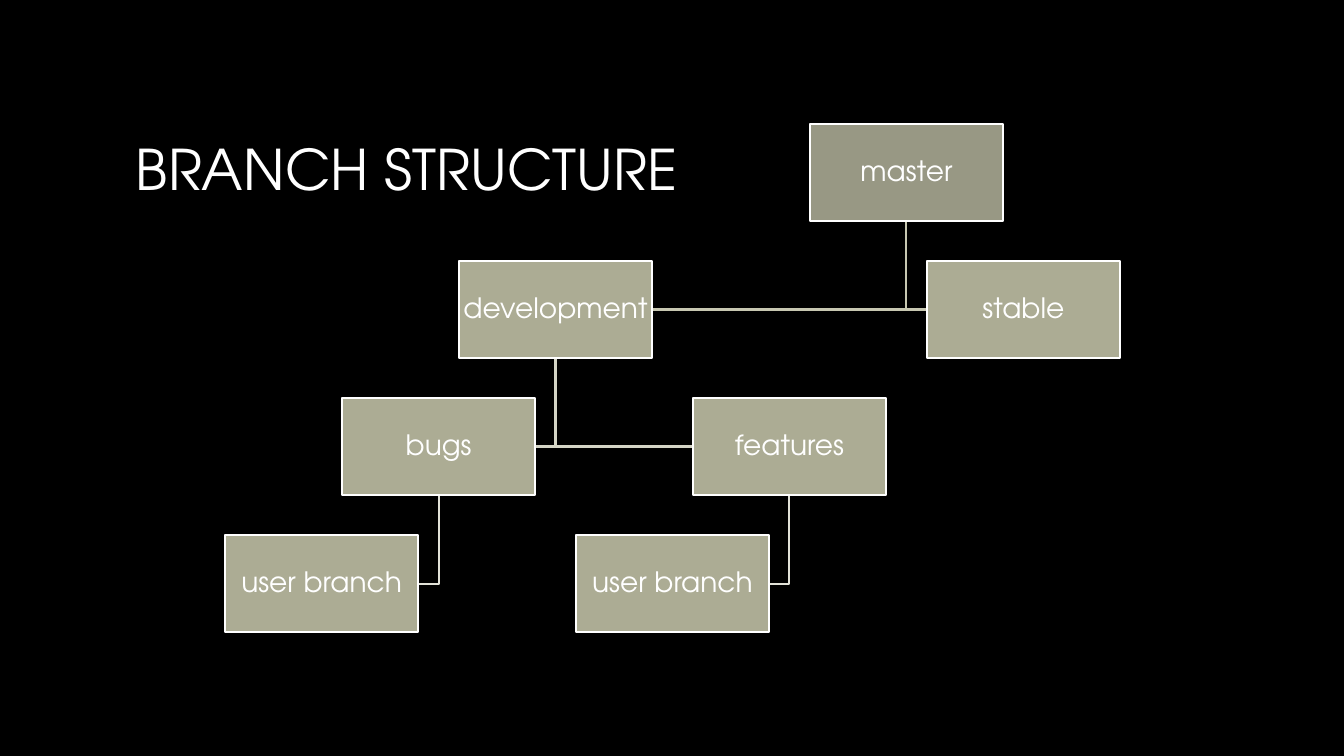
from lxml import etree
from pptx import Presentation
from pptx import util as u
from pptx.dml.color import RGBColor
from pptx.enum import shapes, text
from pptx.oxml import ns

BLACK = RGBColor(0x00, 0x00, 0x00)
WHITE = RGBColor(0xFF, 0xFF, 0xFF)
SAGE = RGBColor(0xBF, 0xBF, 0xA5)
LINKS = [RGBColor(0xC7, 0xC7, 0xB1), RGBColor(0xD5, 0xD5, 0xC6), RGBColor(0xE2, 0xE2, 0xD8)]

LEFT, TOP = 2.23, 1.23
STEP, DROP = 1.16, 1.36
WIDTH, HEIGHT = 1.92, 0.96

NODES = [
    ("master", 5, 0, None),
    ("development", 2, 1, 0),
    ("bugs", 1, 2, 1),
    ("user branch", 0, 3, 2),
    ("features", 4, 2, 1),
    ("user branch", 3, 3, 4),
    ("stable", 6, 1, 0),
]


def spot(col, row):
    return LEFT + STEP * col, TOP + DROP * row


class Chart:
    font = "TeX Gyre Adventor"
    weight = u.Pt(1.5)

    def __init__(self, slide):
        self.slide = slide
        slide.background.fill.solid()
        slide.background.fill.fore_color.rgb = BLACK

    def label(self, shape, words, size, align, inset, wrap):
        frame = shape.text_frame
        para = frame.paragraphs[0]
        run = para.add_run()
        run.text = words
        run.font.color.rgb = WHITE
        sides = ("left", "right", "top", "bottom")
        frame_style = {
            "word_wrap": wrap,
            "vertical_anchor": text.MSO_ANCHOR.MIDDLE,
            **{f"margin_{side}": u.Inches(inset) for side in sides},
        }
        para_style = {"alignment": align, "line_spacing": 0.9}
        font_style = {"name": self.font, "size": u.Pt(size)}
        pairs = ((frame, frame_style), (para, para_style), (run.font, font_style))
        for item, style in pairs:
            for key, value in style.items():
                setattr(item, key, value)

    def title(self, words):
        area = map(u.Inches, (1.25, 0.67, 10.83, 2.08))
        box = self.slide.shapes.add_textbox(*area)
        self.label(box, words, 40, text.PP_ALIGN.LEFT, 0.1, True)

    def stroke(self, shape, color):
        shape.shadow.inherit = False
        shape.line.color.rgb = color
        shape.line.width = self.weight

    def link(self, start, end, color):
        (px, py), (cx, cy) = start, end
        mid = px + WIDTH / 2
        side = cx if cx > mid else cx + WIDTH
        level = cy + HEIGHT / 2
        points = [(mid, py + HEIGHT), (mid, level), (side, level)]
        points = [(u.Inches(x), u.Inches(y)) for x, y in points]
        form = self.slide.shapes.build_freeform(*points[0])
        form.add_line_segments(points[1:], close=False)
        shape = form.convert_to_shape()
        shape.fill.background()
        self.stroke(shape, color)

    def node(self, words, place, alpha):
        area = map(u.Inches, (*place, WIDTH, HEIGHT))
        shape = self.slide.shapes.add_shape(shapes.MSO_SHAPE.RECTANGLE, *area)
        shape.fill.solid()
        shape.fill.fore_color.rgb = SAGE
        tint = shape.element.spPr.find(ns.qn("a:solidFill"))[0]
        etree.SubElement(tint, ns.qn("a:alpha"), val=str(alpha * 1000))
        self.stroke(shape, WHITE)
        self.label(shape, words, 20, text.PP_ALIGN.CENTER, 0.01, False)


def main():
    deck = Presentation()
    deck.slide_width, deck.slide_height = u.Inches(13.33), u.Inches(7.5)
    chart = Chart(deck.slides.add_slide(deck.slide_layouts[6]))
    chart.title("BRANCH STRUCTURE")
    for name, col, row, root in reversed(NODES):
        if root is not None:
            base = NODES[root]
            chart.link(spot(base[1], base[2]), spot(col, row), LINKS[base[2]])
    for name, col, row, root in NODES:
        chart.node(name, spot(col, row), 80 if root is None else 90)
    deck.save("out.pptx")


if __name__ == "__main__":
    main()
